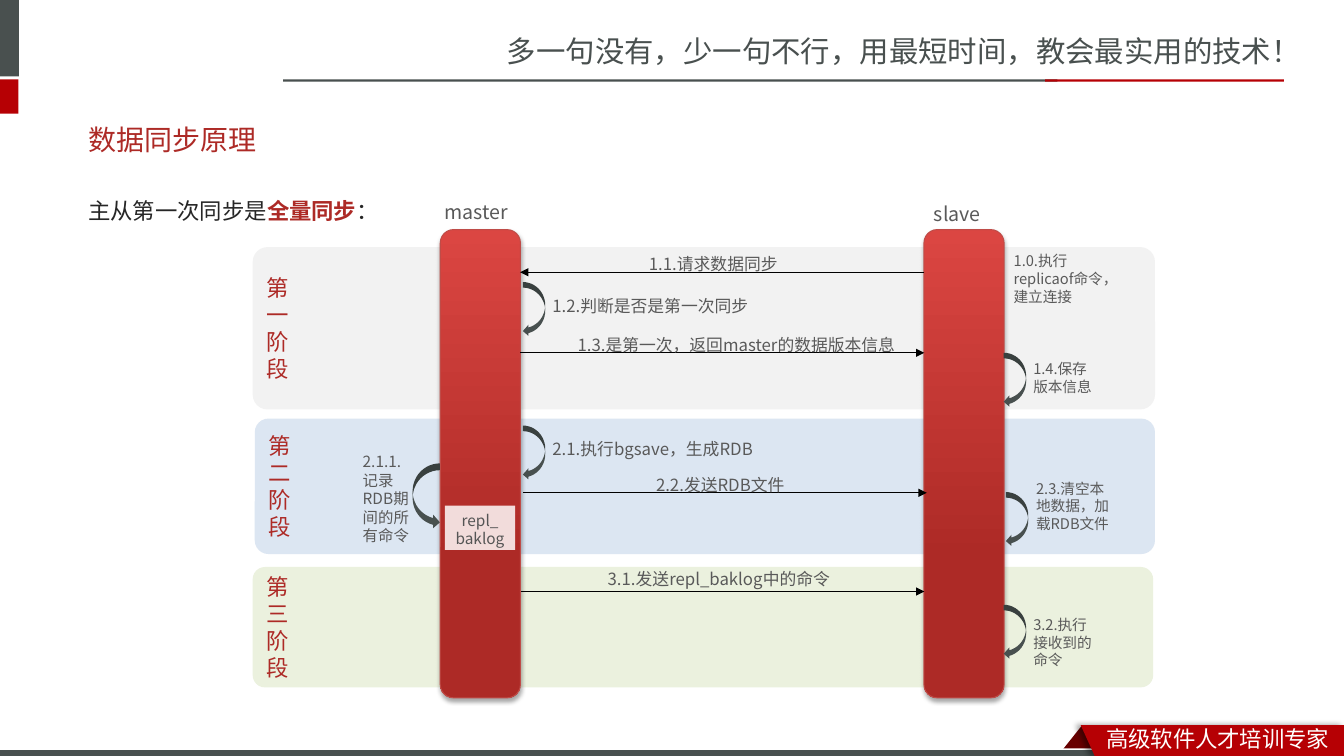
from lxml import etree
from pptx import Presentation
from pptx.dml.color import RGBColor
from pptx.enum.shapes import MSO_CONNECTOR, MSO_SHAPE
from pptx.enum.text import MSO_ANCHOR, PP_ALIGN
from pptx.oxml import parse_xml
from pptx.oxml.ns import nsdecls, qn
from pptx.util import Pt

FONT = "Noto Sans CJK SC"
SLATE, CRIMSON, BRICK, GREY = "49504F", "B60004", "AD2A26", "595959"
color = RGBColor.from_string

deck = Presentation()
deck.slide_width, deck.slide_height = Pt(960), Pt(540)
slide = deck.slides.add_slide(deck.slide_layouts[6])
shapes = slide.shapes


def add_block(kind, left, top, width, height, fill, adjust=None):
    block = shapes.add_shape(kind, Pt(left), Pt(top), Pt(width), Pt(height))
    block.shadow.inherit = False
    block.fill.solid()
    block.fill.fore_color.rgb = color(fill)
    block.line.fill.background()
    if adjust is not None:
        block.adjustments[0] = adjust
    return block


def write(holder, text, size, ink, align=PP_ALIGN.LEFT, anchor=MSO_ANCHOR.TOP):
    frame = holder.text_frame
    frame.word_wrap = True
    frame.vertical_anchor = anchor
    frame.text = text
    for paragraph in frame.paragraphs:
        paragraph.alignment = align
        paragraph.font.size = Pt(size)
        paragraph.font.name = FONT
        paragraph.font.color.rgb = color(ink)
        # East Asian typeface for the Chinese characters
        for run in paragraph.runs:
            etree.SubElement(run.font._element, qn("a:ea"), typeface=FONT)


# Page frame: header rules, side marks, footer bars
add_block(MSO_SHAPE.PARALLELOGRAM, 755.5, 518.5, 121, 21.5, "680000", 0.796)
for left, top, width, height, fill in [
    (0, 534.5, 960, 5.5, "FFFFFF"),
    (0, 0, 13.5, 54.5, SLATE),
    (0, 56.75, 13.25, 24.5, CRIMSON),
    (202.25, 56.75, 553, 1.5, SLATE),
    (746.5, 56.75, 170.5, 1.5, CRIMSON),
    (0, 535.75, 791, 4.25, SLATE),
]:
    add_block(MSO_SHAPE.RECTANGLE, left, top, width, height, fill)

# Footer ribbon
ribbon_outline = shapes.build_freeform(772.5, 518.5, scale=Pt(1))
ribbon_outline.add_line_segments([(960, 518.5), (960, 540), (782, 540)], close=True)
ribbon = ribbon_outline.convert_to_shape()
ribbon.fill.solid()
ribbon.fill.fore_color.rgb = color(CRIMSON)
ribbon.line.fill.background()

# Phase bands
for number, left, top, width, height, fill, adjust in [
    ("三", 180.5, 405, 643.25, 86, "EBF1DE", 0.102),
    ("二", 182, 299, 643, 96.75, "DCE6F2", 0.101),
    ("一", 180.5, 176.5, 644.5, 116, "F2F2F2", 0.091),
]:
    phase = add_block(MSO_SHAPE.ROUNDED_RECTANGLE, left, top, width, height, fill, adjust)
    write(phase, "\n".join(["第", number, "阶", "段"]), 16, BRICK, anchor=MSO_ANCHOR.MIDDLE)

# Master and slave pillars
pillars = []
for left in (314.5, 660):
    pillar = add_block(MSO_SHAPE.ROUNDED_RECTANGLE, left, 164, 57.25, 334.5, BRICK)
    pillar.fill.gradient()
    pillar.fill.gradient_angle = 270
    for stop, position, shade in zip(pillar.fill.gradient_stops, (0, 0.7), ("DB4642", BRICK)):
        stop.position = position
        stop.color.rgb = color(shade)
    pillar.line.color.rgb = color("BF4C48")
    pillar.line.width = Pt(0.75)
    pillars.append(pillar)

# Shadows of the ribbon and pillars
for caster, alpha, blur, distance, angle in [
    (ribbon, 40, 4, 3, 180),
    *[(pillar, 35, 3.1, 1.8, 90) for pillar in pillars],
]:
    caster.shadow.inherit = False
    effects = caster._element.spPr.find(qn("a:effectLst"))
    effects.append(parse_xml(
        f'<a:outerShdw {nsdecls("a")} blurRad="{Pt(blur)}" dist="{Pt(distance)}" '
        f'dir="{angle * 60000}" rotWithShape="0"><a:srgbClr val="000000">'
        f'<a:alpha val="{alpha * 1000}"/></a:srgbClr></a:outerShdw>'))

# Messages between master and slave
for start, end, y in [
    (660.25, 371.5, 194.5),
    (371.5, 660.25, 252),
    (373.5, 662, 352),
    (372, 660.25, 422.5),
]:
    message = shapes.add_connector(MSO_CONNECTOR.STRAIGHT, Pt(start), Pt(y), Pt(end), Pt(y))
    message.line.color.rgb = color("000000")
    message.line.width = Pt(0.75)
    etree.SubElement(message.line._get_or_add_ln(), qn("a:tailEnd"), type="triangle")
    etree.SubElement(message._element.spPr, qn("a:effectLst"))

# Local steps
for left, top in [(373.5, 201.5), (373.5, 304), (718.5, 351.5), (717, 252), (717, 432)]:
    add_block(MSO_SHAPE.CURVED_LEFT_ARROW, left, top, 16, 39, "48504F")
add_block(MSO_SHAPE.CURVED_RIGHT_ARROW, 294.75, 331, 19.5, 47, "48504F")

# Replication backlog inside the master
backlog = add_block(MSO_SHAPE.RECTANGLE, 317.75, 361.25, 50.25, 31.5, "F2DCDB")
write(backlog, "repl_\nbaklog", 11, "555555", PP_ALIGN.CENTER)
backlog.text_frame.margin_left = backlog.text_frame.margin_right = 0
backlog.text_frame.margin_bottom = 0

# Headings and step labels
for text, left, top, width, height, size, ink in [
    ("多一句没有，少一句不行，用最短时间，教会最实用的技术！", 355, 20, 605, 34, 21, SLATE),
    ("高级软件人才培训专家", 783, 514.5, 177, 26.5, 16, "FFFFFF"),
    ("数据同步原理", 56, 82.5, 842.5, 34, 20, BRICK),
    ("master", 310.25, 139.5, 65.5, 24.5, 14, GREY),
    ("slave", 660, 141, 57, 24.5, 14, GREY),
    ("1.1.请求数据同步", 456.5, 177.75, 116, 22, 12, GREY),
    ("1.2.判断是否是第一次同步", 387.5, 208, 163, 22, 12, GREY),
    ("1.3.是第一次，返回master的数据版本信息", 405.5, 235.5, 255, 22, 12, GREY),
    ("2.1.执行bgsave，生成RDB", 387.5, 310, 170, 22, 12, GREY),
    ("2.2.发送RDB文件", 461.5, 335.5, 112.5, 22, 12, GREY),
    ("3.1.发送repl_baklog中的命令", 427, 403, 196, 22, 12, GREY),
    ("1.0.执行\nreplicaof命令，建立连接", 717, 176.5, 97, 45.5, 10.5, GREY),
    ("1.4.保存\n版本信息", 731, 253.5, 60.5, 32.5, 10.5, GREY),
    ("2.3.清空本地数据，加载RDB文件", 733, 339, 70, 58.5, 10.5, GREY),
    ("3.2.执行接收到的命令", 731, 436.5, 60.5, 45.5, 10.5, GREY),
    ("2.1.1.记录RDB期间的所有命令", 252, 319.5, 50, 74, 11, GREY),
]:
    label = shapes.add_textbox(Pt(left), Pt(top), Pt(width), Pt(height))
    anchor = MSO_ANCHOR.MIDDLE if size == 20 else MSO_ANCHOR.TOP
    write(label, text, size, ink, anchor=anchor)

# Lead sentence with its emphasised term
lead = shapes.add_textbox(Pt(56), Pt(128), Pt(842.5), Pt(36))
write(lead, "主从第一次同步是", 16, "262626")
sentence = lead.text_frame.paragraphs[0]
sentence.line_spacing = 1.5
for text, ink, bold in [("全量同步", BRICK, True), ("：", "262626", False)]:
    part = sentence.add_run()
    part.text = text
    part.font.bold = bold
    part.font.color.rgb = color(ink)
    etree.SubElement(part.font._element, qn("a:ea"), typeface=FONT)

deck.save("out.pptx")
